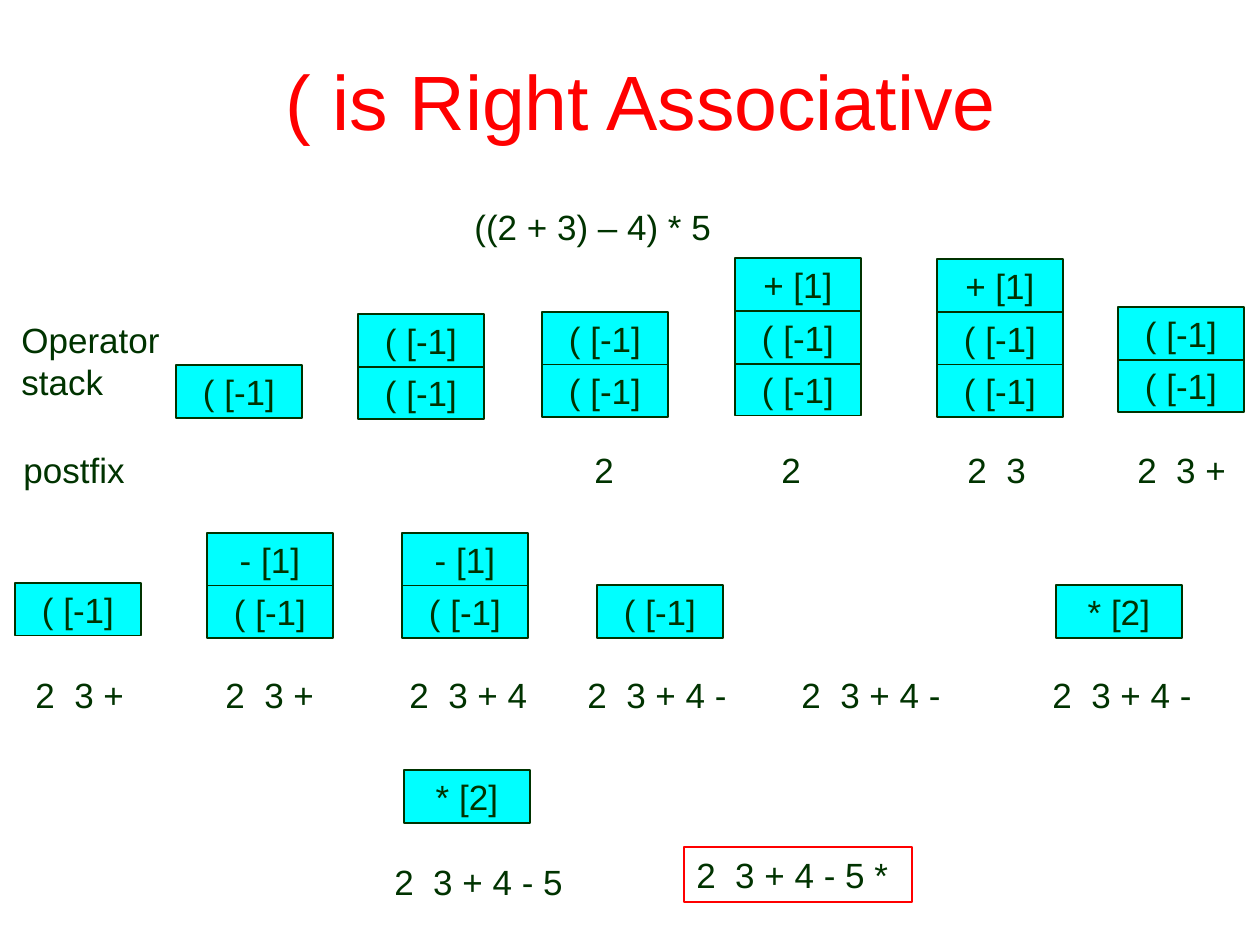
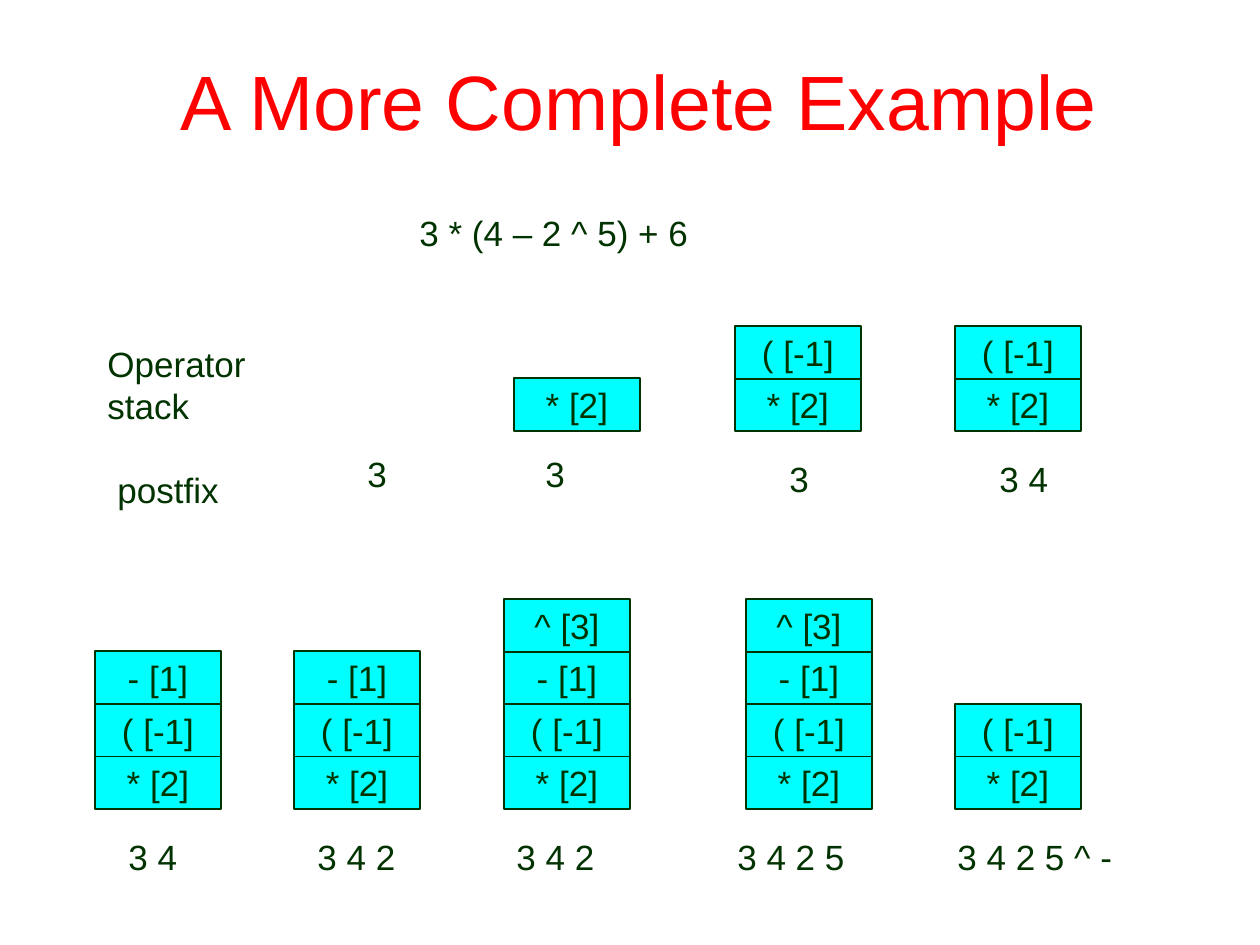
from pptx import Presentation
from pptx import util as u
from pptx.dml import color
from pptx.enum import shapes, text

PIXEL = 914400 // 126
WIDTH, HEIGHT = 1260, 945
FONT = "Arial"
COLORS = {"title": "FF0000", "ink": "003300", "cell": "00FFFF", "result": "FF0000"}
CELL_WIDTH, CELL_HEIGHT = 126, 53
OPEN, PLUS, MINUS, TIMES, POWER = "( [-1]", "+ [1]", "- [1]", "* [2]", "^ [3]"


def rgb(name):
    return color.RGBColor.from_string(COLORS[name])


def pixels(box):
    return [u.Emu(value * PIXEL) for value in box]


def write(shape, words, size=20, ink="ink", align=text.PP_ALIGN.LEFT,
          anchor=text.MSO_ANCHOR.TOP):
    frame = shape.text_frame
    frame.text = words
    frame.word_wrap = True
    frame.vertical_anchor = anchor
    frame.margin_right = 0 if align == text.PP_ALIGN.LEFT else frame.margin_left
    for paragraph in frame.paragraphs:
        paragraph.alignment = align
        for run in paragraph.runs:
            run.font.name = FONT
            run.font.size = u.Pt(size)
            run.font.color.rgb = rgb(ink)


def add_label(slide, box, words):
    write(slide.shapes.add_textbox(*pixels(box)), words)


def add_title(slide, words):
    shape = slide.shapes.add_textbox(*pixels((95, 21, 1071, 158)))
    write(shape, words, 44, "title", text.PP_ALIGN.CENTER, text.MSO_ANCHOR.MIDDLE)


def add_box(slide, box, line, fill=None):
    shape = slide.shapes.add_shape(shapes.MSO_SHAPE.RECTANGLE, *pixels(box))
    shape.shadow.inherit = False
    if fill:
        shape.fill.solid()
        shape.fill.fore_color.rgb = rgb(fill)
    else:
        shape.fill.background()
    shape.line.color.rgb = rgb(line)
    shape.line.width = u.Pt(0.75)
    return shape


def add_stack(slide, left, bottom_top, operators):
    for level, operator in enumerate(operators):
        top = bottom_top - level * 105 // 2
        cell = add_box(slide, (left, top, CELL_WIDTH, CELL_HEIGHT), "ink", "cell")
        write(cell, operator, align=text.PP_ALIGN.CENTER, anchor=text.MSO_ANCHOR.MIDDLE)


def add_stacks(slide, stacks):
    for left, top, operators in stacks:
        add_stack(slide, left, top, operators)


def add_postfix_row(slide, top, height, outputs):
    for left, width, words in outputs:
        add_label(slide, (left, top, width, height), words)


def add_row_names(slide, left, stack_top, postfix_left, postfix_top):
    add_label(slide, (left, stack_top, 173, 97), "Operator\nstack")
    add_label(slide, (postfix_left, postfix_top, 126, 54), "postfix")


def build_associativity(slide):
    add_title(slide, " ( is Right Associative")
    add_label(slide, (462, 199, 273, 55), "((2 + 3) – 4) * 5")
    add_row_names(slide, 9, 312, 11, 442)
    add_stacks(slide, [
        (176, 365, [OPEN]),
        (358, 366, [OPEN, OPEN]),
        (542, 364, [OPEN, OPEN]),
        (735, 363, [OPEN, OPEN, PLUS]),
        (937, 364, [OPEN, OPEN, PLUS]),
        (1118, 359, [OPEN, OPEN]),
        (15, 583, [OPEN]),
        (207, 585, [OPEN, MINUS]),
        (402, 585, [OPEN, MINUS]),
        (597, 585, [OPEN]),
        (1056, 585, [TIMES]),
        (404, 770, [TIMES]),
    ])
    add_postfix_row(slide, 442, 55, [
        (582, 45, "2"), (769, 45, "2"), (955, 84, "2  3"), (1125, 125, "2  3 +"),
    ])
    add_postfix_row(slide, 667, 55, [
        (23, 125, "2  3 +"), (213, 134, "2  3 +"), (397, 173, "2  3 + 4"),
        (575, 194, "2  3 + 4 -"), (789, 194, "2  3 + 4 -"), (1040, 194, "2  3 + 4 -"),
    ])
    add_postfix_row(slide, 854, 55, [(382, 214, "2  3 + 4 - 5")])
    result = add_box(slide, (684, 847, 228, 55), "result")
    write(result, "2  3 + 4 - 5 *")


def build_complete_example(slide):
    add_title(slide, " A More Complete Example")
    add_label(slide, (407, 205, 359, 63), "3 * (4 – 2 ^ 5) + 6")
    add_row_names(slide, 95, 336, 105, 462)
    add_stacks(slide, [
        (514, 378, [TIMES]),
        (735, 378, [TIMES, OPEN]),
        (955, 378, [TIMES, OPEN]),
        (95, 756, [TIMES, OPEN, MINUS]),
        (294, 756, [TIMES, OPEN, MINUS]),
        (504, 756, [TIMES, OPEN, MINUS, POWER]),
        (746, 756, [TIMES, OPEN, MINUS, POWER]),
        (955, 756, [TIMES, OPEN]),
    ])
    add_postfix_row(slide, 446, 63, [(355, 49, "3"), (533, 49, "3")])
    add_postfix_row(slide, 451, 63, [(777, 49, "3"), (987, 83, "3 4")])
    add_postfix_row(slide, 829, 63, [
        (116, 83, "3 4"), (305, 118, "3 4 2"), (504, 118, "3 4 2"),
        (725, 154, "3 4 2 5"), (945, 222, "3 4 2 5 ^ -"),
    ])


presentation = Presentation()
presentation.slide_width, presentation.slide_height = pixels((WIDTH, HEIGHT))
for build in (build_associativity, build_complete_example):
    build(presentation.slides.add_slide(presentation.slide_layouts[6]))
presentation.save("out.pptx")
